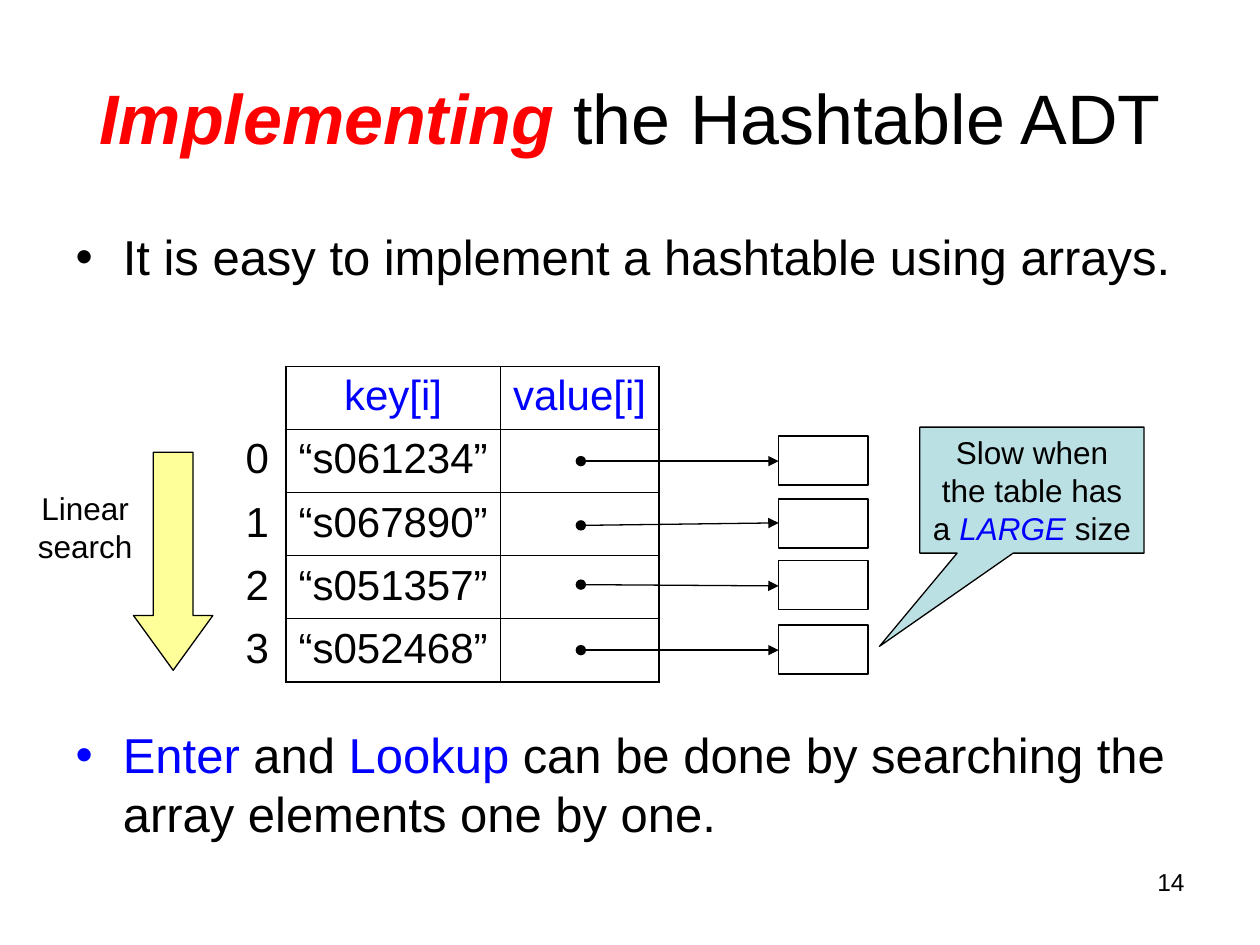
from lxml import etree
from pptx import Presentation
from pptx.dml.color import RGBColor
from pptx.enum import shapes, text
from pptx.oxml.ns import qn
from pptx.util import Inches, Pt

BLACK = RGBColor(0x00, 0x00, 0x00)
RED = RGBColor(0xFF, 0x00, 0x00)
BLUE = RGBColor(0x00, 0x00, 0xFF)
YELLOW = RGBColor(0xFF, 0xFF, 0x99)
TEAL = RGBColor(0xBB, 0xE0, 0xE3)
FONT = "Arial"
THICK, THIN, OUTLINE = Pt(1.08), Pt(0.45), Pt(0.75)
CENTER, LEFT, RIGHT = text.PP_ALIGN.CENTER, text.PP_ALIGN.LEFT, text.PP_ALIGN.RIGHT

TITLE = [("Implementing", RED, True), (" the Hashtable ADT", BLACK, False)]
BULLETS = [
    (0, [("It is easy to implement a hashtable using arrays.", BLACK)]),
    (251, [("Enter", BLUE), (" and ", BLACK), ("Lookup", BLUE),
           (" can be done by searching the array elements one by one.", BLACK)]),
]
HEADER = ["", "key[i]", "value[i]"]
KEYS = ["“s061234”", "“s067890”", "“s051357”", "“s052468”"]
COLUMNS = [0.42, 1.7, 1.26]
ROW = 0.5
VALUES = [(3.46, 3.66, 3.66), (3.96, 4.17, 4.15), (4.45, 4.64, 4.65), (4.96, 5.16, 5.16)]
CALLOUT = [("Slow when the table has a ", BLACK, False), ("LARGE", BLUE, True),
           (" size", BLACK, False)]


def inches(*values):
    return [Inches(v) for v in values]


def style(p, size, color=BLACK, align=LEFT):
    p.alignment = align
    p.font.name = FONT
    p.font.size = Pt(size)
    p.font.color.rgb = color


def add_run(p, words, color, italic=None):
    r = p.add_run()
    r.text = words
    r.font.color.rgb = color
    r.font.italic = italic
    return r


def add_label(s, words, at, size, align):
    tf = s.shapes.add_textbox(*inches(*at)).text_frame
    tf.word_wrap = True
    p = tf.paragraphs[0]
    p.text = words
    style(p, size, align=align)


def add_outlined(s, kind, at, fill=None):
    sp = s.shapes.add_shape(kind, *inches(*at))
    sp.shadow.inherit = False
    if fill is None:
        sp.fill.background()
    else:
        sp.fill.solid()
        sp.fill.fore_color.rgb = fill
    sp.line.color.rgb = BLACK
    sp.line.width = OUTLINE
    return sp


def add_pointer(s, start, end):
    line = s.shapes.add_connector(shapes.MSO_CONNECTOR.STRAIGHT, *inches(*start, *end))
    line.line.color.rgb = BLACK
    line.line.width = OUTLINE
    ln = line.line._get_or_add_ln()
    etree.SubElement(ln, qn("a:headEnd"), type="oval")
    etree.SubElement(ln, qn("a:tailEnd"), type="triangle")
    etree.SubElement(line._element.spPr, qn("a:effectLst"))


def set_borders(cell, widths):
    tc_pr = cell._tc.get_or_add_tcPr()
    for i, (side, width) in enumerate(widths.items()):
        ln = etree.Element(qn("a:" + side), w=str(int(width or 0)))
        if width:
            fill = etree.SubElement(ln, qn("a:solidFill"))
            etree.SubElement(fill, qn("a:srgbClr"), val=str(BLACK))
        else:
            etree.SubElement(ln, qn("a:noFill"))
        tc_pr.insert(i, ln)


def add_title(s):
    title = s.shapes.title
    title.left, title.top, title.width, title.height = inches(0.5, 0.3, 9, 1.25)
    p = title.text_frame.paragraphs[0]
    style(p, 40, align=CENTER)
    for words, color, strong in TITLE:
        add_run(p, words, color, strong).font.bold = strong


def add_bullets(s):
    body = s.placeholders[1]
    body.left, body.top, body.width, body.height = inches(0.5, 1.75, 9, 4.95)
    tf = body.text_frame
    tf.auto_size = text.MSO_AUTO_SIZE.NONE
    for i, (before, runs) in enumerate(BULLETS):
        p = tf.add_paragraph() if i else tf.paragraphs[0]
        p.space_before = Pt(before)
        p_pr = p._p.get_or_add_pPr()
        color = etree.SubElement(p_pr, qn("a:buClr"))
        etree.SubElement(color, qn("a:srgbClr"), val=str(runs[0][1]))
        etree.SubElement(p_pr, qn("a:buFont"), typeface=FONT)
        etree.SubElement(p_pr, qn("a:buChar"), char="•")
        style(p, 28)
        for words, run_color in runs:
            add_run(p, words, run_color)


def add_hashtable(s):
    rows = [HEADER] + [[str(i), key, ""] for i, key in enumerate(KEYS)]
    last = len(rows) - 1
    table = s.shapes.add_table(len(rows), len(COLUMNS), *inches(
        1.85, 2.91, sum(COLUMNS), ROW * len(rows))).table
    table.first_row = table.horz_banding = False
    for column, width in zip(table.columns, COLUMNS):
        column.width = Inches(width)
    for i, row in enumerate(rows):
        for j, words in enumerate(row):
            cell = table.cell(i, j)
            cell.fill.background()
            cell.margin_right = Inches(0.05 if i else 0.1)
            p = cell.text_frame.paragraphs[0]
            p.text = words
            style(p, 24, BLACK if i else BLUE, LEFT if i else CENTER)
            set_borders(cell, {
                "lnL": (None, THICK, THIN)[j],
                "lnR": (THICK, THIN, THICK)[j],
                "lnT": (THIN if i else THICK) if j else None,
                "lnB": (THICK if i == last else THIN) if j else None,
            })


def add_callout(s):
    sp = add_outlined(s, shapes.MSO_SHAPE.RECTANGULAR_CALLOUT, (7.3, 3.39, 1.78, 1), TEAL)
    sp.adjustments[0], sp.adjustments[1] = -0.68, 1.24
    tf = sp.text_frame
    tf.word_wrap = True
    tf.vertical_anchor = text.MSO_ANCHOR.MIDDLE
    p = tf.paragraphs[0]
    style(p, 18, align=CENTER)
    for words, color, italic in CALLOUT:
        add_run(p, words, color, italic)


def main():
    prs = Presentation()
    prs.slide_width, prs.slide_height = inches(10, 7.5)
    s = prs.slides.add_slide(prs.slide_layouts[1])
    add_label(s, "14", (7.17, 6.83, 2.33, 0.52), 14, RIGHT)
    add_title(s)
    add_bullets(s)
    add_hashtable(s)
    for top, start, end in VALUES:
        add_outlined(s, shapes.MSO_SHAPE.RECTANGLE, (6.18, top, 0.71, 0.39))
        add_pointer(s, (4.61, start), (6.18, end))
    arrow = add_outlined(s, shapes.MSO_SHAPE.DOWN_ARROW, (1.06, 3.59, 0.63, 1.73), YELLOW)
    arrow.adjustments[0], arrow.adjustments[1] = 0.5, 0.69
    add_label(s, "Linear search", (0.15, 3.83, 1.05, 0.72), 18, CENTER)
    add_callout(s)
    prs.save("out.pptx")


if __name__ == "__main__":
    main()
